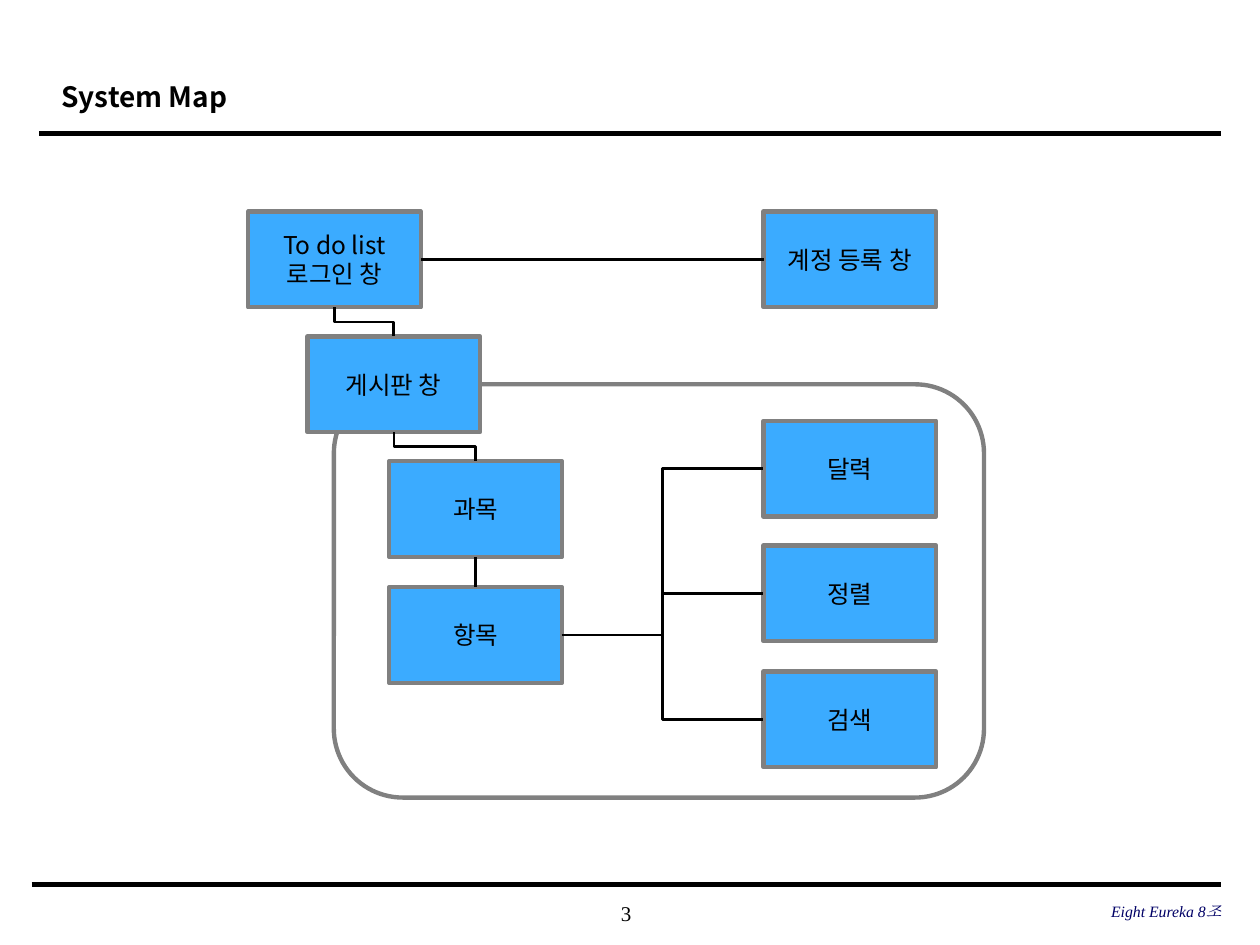
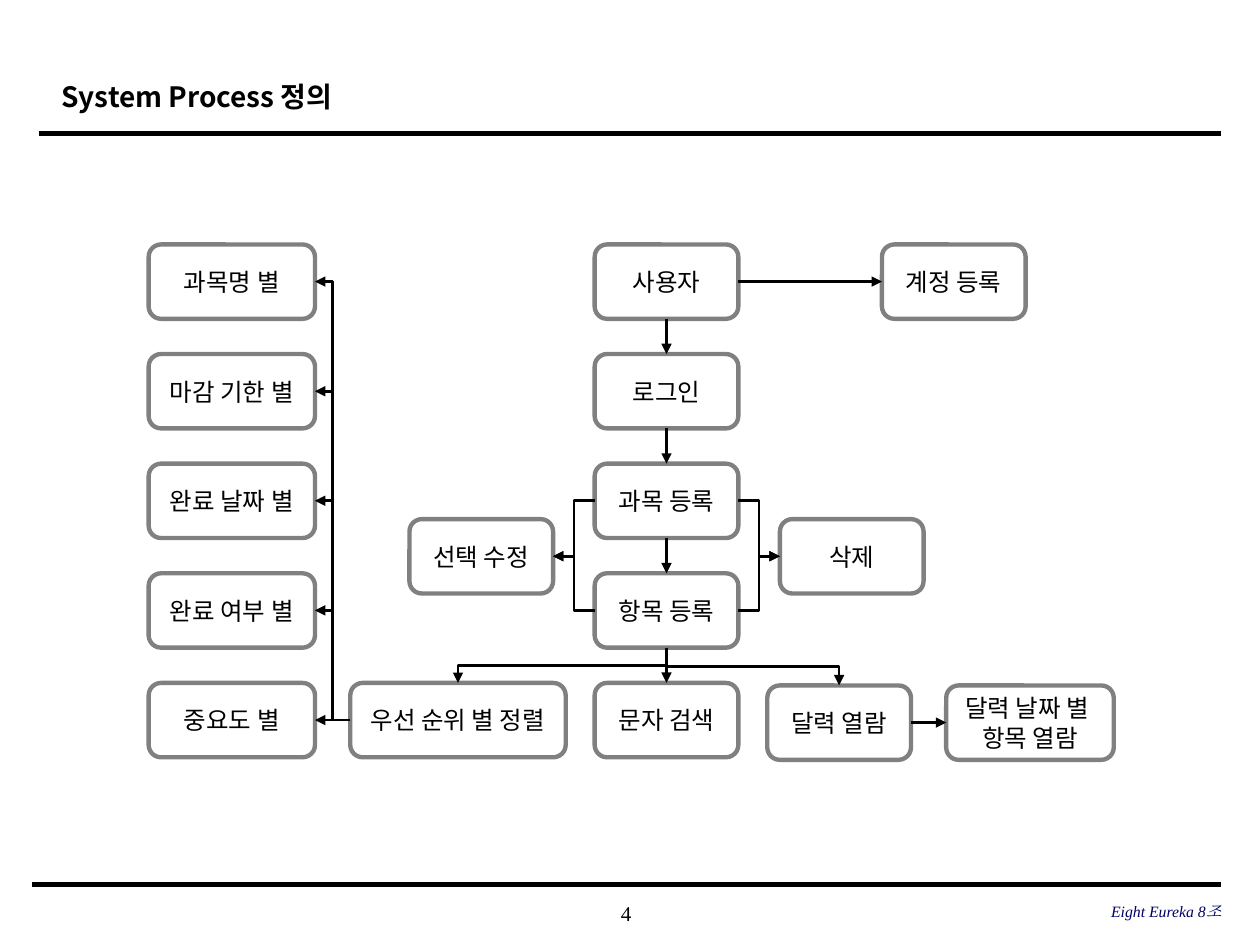
"""Build the system map and system process slides."""
import dataclasses
import enum
import typing

import lxml.etree
import pptx
import pptx.dml.color
import pptx.enum.shapes
import pptx.enum.text
import pptx.oxml.ns
import pptx.util

Inches = pptx.util.Inches
Pt = pptx.util.Pt
Align = pptx.enum.text.PP_ALIGN
Preset = pptx.enum.shapes.MSO_SHAPE
ConnectorKind = pptx.enum.shapes.MSO_CONNECTOR
qn = pptx.oxml.ns.qn


class Side(enum.IntEnum):
    TOP = 0
    LEFT = 1
    BOTTOM = 2
    RIGHT = 3


@dataclasses.dataclass(frozen=True)
class TextStyle:
    size: float
    face: str
    color: str
    align: Align
    bold: bool = False
    italic: bool = False
    spacing: float = 1.0


@dataclasses.dataclass(frozen=True)
class Theme:
    black: str = "000000"
    border: str = "808080"
    screen_fill: str = "3BABFF"
    border_width: float = 2.5
    link_width: float = 1.5
    title: TextStyle = TextStyle(16, "Noto Sans CJK KR", "000000", Align.LEFT, bold=True, spacing=1.2)
    label: TextStyle = TextStyle(14, "Noto Sans CJK KR", "000000", Align.CENTER)
    number: TextStyle = TextStyle(12, "Times New Roman", "000000", Align.CENTER)
    team: TextStyle = TextStyle(9, "Times New Roman", "000066", Align.RIGHT, italic=True)


class Box(typing.NamedTuple):
    key: str
    label: str
    left: float
    top: float
    width: float


class Link(typing.NamedTuple):
    start: str
    start_side: Side
    end: str
    end_side: Side
    elbow: bool = False


class Rule(typing.NamedTuple):
    left: float
    right: float
    y: float
    weight: float


@dataclasses.dataclass(frozen=True)
class Diagram:
    title: str
    number: int
    preset: Preset
    height: float
    fill: str | None
    arrows: bool
    boxes: list[Box]
    links: list[Link]
    frame: tuple[float, float, float, float] | None = None


THEME = Theme()
RULES = [Rule(0.31, 9.69, 1.06, 2.5), Rule(0.25, 9.69, 7.02, 3)]
TEAM = "Eight Eureka 8조"

SCREEN_WIDTH = 1.37
SYSTEM_MAP = Diagram(
    "System Map", 3, Preset.RECTANGLE, 0.76, THEME.screen_fill, False,
    [
        Box("login", "To do list\n로그인 창", 1.97, 1.68, SCREEN_WIDTH),
        Box("account", "계정 등록 창", 6.06, 1.68, SCREEN_WIDTH),
        Box("board", "게시판 창", 2.44, 2.67, SCREEN_WIDTH),
        Box("subject", "과목", 3.09, 3.66, SCREEN_WIDTH),
        Box("item", "항목", 3.09, 4.66, SCREEN_WIDTH),
        Box("calendar", "달력", 6.06, 3.34, SCREEN_WIDTH),
        Box("sort", "정렬", 6.06, 4.33, SCREEN_WIDTH),
        Box("search", "검색", 6.06, 5.33, SCREEN_WIDTH),
    ],
    [
        Link("login", Side.RIGHT, "account", Side.LEFT),
        Link("login", Side.BOTTOM, "board", Side.TOP, True),
        Link("board", Side.BOTTOM, "subject", Side.TOP, True),
        Link("subject", Side.BOTTOM, "item", Side.TOP),
        *(Link("item", Side.RIGHT, tool, Side.LEFT, True) for tool in ("calendar", "sort", "search")),
    ],
    frame=(2.65, 3.05, 5.16, 3.28),
)

STEP_WIDTH = 1.14
FIRST_ROW, ROW_PITCH = 1.94, 0.87
STEPS = {"user": "사용자", "login": "로그인", "subject": "과목 등록", "item": "항목 등록", "search": "문자 검색"}
ORDERS = {"by_subject": "과목명 별", "by_deadline": "마감 기한 별", "by_date": "완료 날짜 별",
          "by_status": "완료 여부 별", "by_priority": "중요도 별"}


def column(labels: dict[str, str], left: float, width: float) -> list[Box]:
    """Stack one box per label at the row pitch."""
    return [Box(key, label, left, FIRST_ROW + row * ROW_PITCH, width)
            for row, (key, label) in enumerate(labels.items())]


SYSTEM_PROCESS = Diagram(
    "System Process 정의", 4, Preset.ROUNDED_RECTANGLE, 0.59, None, True,
    [
        *column(STEPS, 4.72, STEP_WIDTH),
        *column(ORDERS, 1.18, 1.32),
        Box("account", "계정 등록", 7, FIRST_ROW, STEP_WIDTH),
        Box("edit", "선택 수정", 3.25, 4.12, STEP_WIDTH),
        Box("delete", "삭제", 6.19, 4.12, STEP_WIDTH),
        Box("sort", "우선 순위 별 정렬", 2.78, 5.42, 1.71),
        Box("calendar", "달력 열람", 6.09, 5.44, STEP_WIDTH),
        Box("day_items", "달력 날짜 별 \n항목 열람", 7.51, 5.44, 1.33),
    ],
    [
        *(Link(upper, Side.BOTTOM, lower, Side.TOP) for upper, lower in zip(STEPS, list(STEPS)[1:])),
        *(Link("sort", Side.LEFT, order, Side.RIGHT, order != "by_priority") for order in ORDERS),
        Link("user", Side.RIGHT, "account", Side.LEFT),
        Link("calendar", Side.RIGHT, "day_items", Side.LEFT),
        *(Link(step, Side.LEFT, "edit", Side.RIGHT, True) for step in ("subject", "item")),
        *(Link(step, Side.RIGHT, "delete", Side.LEFT, True) for step in ("subject", "item")),
        *(Link("item", Side.BOTTOM, view, Side.TOP, True) for view in ("sort", "calendar")),
    ],
)


def rgb(color: str) -> pptx.dml.color.RGBColor:
    """Turn a hex string into a colour."""
    return pptx.dml.color.RGBColor.from_string(color)


def write(frame, text: str, style: TextStyle, **frame_format) -> None:
    """Fill a text frame with one styled paragraph per line."""
    frame_format = {"vertical_anchor": pptx.enum.text.MSO_ANCHOR.MIDDLE, **frame_format}
    for name, value in frame_format.items():
        setattr(frame, name, value)
    for index, line in enumerate(text.split("\n")):
        paragraph = frame.add_paragraph() if index else frame.paragraphs[0]
        paragraph.alignment = style.align
        paragraph.line_spacing = style.spacing
        run = paragraph.add_run()
        run.text = line
        font_format = {"size": Pt(style.size), "name": style.face, "bold": style.bold, "italic": style.italic}
        for name, value in font_format.items():
            setattr(run.font, name, value)
        run.font.color.rgb = rgb(style.color)
        east_asian = lxml.etree.SubElement(run.font._element, qn("a:ea"))
        east_asian.set("typeface", style.face)


def add_text(slide, place: tuple[float, ...], text: str, style: TextStyle, **frame_format) -> None:
    """Place a text box."""
    area = slide.shapes.add_textbox(*map(Inches, place))
    write(area.text_frame, text, style, word_wrap=True, **frame_format)


def add_outline(slide, preset: Preset, place: tuple[float, ...], fill: str | None):
    """Place a bordered preset shape."""
    outline = slide.shapes.add_shape(preset, *map(Inches, place))
    outline.shadow.inherit = False
    if fill:
        outline.fill.solid()
        outline.fill.fore_color.rgb = rgb(fill)
    else:
        outline.fill.background()
    outline.line.color.rgb = rgb(THEME.border)
    outline.line.width = Pt(THEME.border_width)
    return outline


def style_line(connector, weight: float, arrow: bool = False) -> None:
    """Give a connector its colour, weight, arrowhead and no shadow."""
    connector.line.color.rgb = rgb(THEME.black)
    connector.line.width = Pt(weight)
    properties = connector._element.spPr
    if arrow:
        lxml.etree.SubElement(properties.find(qn("a:ln")), qn("a:tailEnd")).set("type", "triangle")
    lxml.etree.SubElement(properties, qn("a:effectLst"))


def turn_elbow(connector) -> None:
    """Turn an elbow so that it leaves and arrives vertically."""
    across = connector.end_x - connector.begin_x
    down = connector.end_y - connector.begin_y
    middle_x = (connector.begin_x + connector.end_x) // 2
    middle_y = (connector.begin_y + connector.end_y) // 2
    geometry = {"left": middle_x - down // 2, "top": middle_y - abs(across) // 2,
                "width": down, "height": abs(across)}
    for name, value in geometry.items():
        setattr(connector, name, value)
    turn = {"rot": "16200000", "flipH": "1"} if across > 0 else {"rot": "5400000", "flipH": "0"}
    transform = connector._element.spPr.find(qn("a:xfrm"))
    for name, value in {**turn, "flipV": "0"}.items():
        transform.set(name, value)


def add_link(slide, link: Link, placed: dict, arrow: bool) -> None:
    """Join two boxes with a straight or elbow connector."""
    kind = ConnectorKind.ELBOW if link.elbow else ConnectorKind.STRAIGHT
    connector = slide.shapes.add_connector(kind, 0, 0, 0, 0)
    connector.begin_connect(placed[link.start], int(link.start_side))
    connector.end_connect(placed[link.end], int(link.end_side))
    if link.elbow and link.start_side == Side.BOTTOM:
        turn_elbow(connector)
    style_line(connector, THEME.link_width, arrow)


def add_page(slide, title: str, number: int) -> None:
    """Draw the title, rules and footer shared by all slides."""
    for rule in RULES:
        ends = map(Inches, (rule.left, rule.y, rule.right, rule.y))
        style_line(slide.shapes.add_connector(ConnectorKind.STRAIGHT, *ends), rule.weight)
    flush = dict.fromkeys(("margin_left", "margin_top", "margin_right", "margin_bottom"), 0)
    add_text(slide, (0.39, 0.49, 7.55, 0.5), title, THEME.title)
    add_text(slide, (3.93, 7.08, 2.08, 0.33), str(number), THEME.number, **flush)
    add_text(slide, (6.63, 7.07, 3.06, 0.33), TEAM, THEME.team, **flush)


def add_diagram(slide, diagram: Diagram) -> None:
    """Draw the frame, boxes and links of a diagram."""
    if diagram.frame:
        add_outline(slide, Preset.ROUNDED_RECTANGLE, diagram.frame, None)
    placed = {}
    for box in diagram.boxes:
        place = (box.left, box.top, box.width, diagram.height)
        placed[box.key] = add_outline(slide, diagram.preset, place, diagram.fill)
        write(placed[box.key].text_frame, box.label, THEME.label, word_wrap=False)
    for link in diagram.links:
        add_link(slide, link, placed, diagram.arrows)


def main() -> None:
    """Build and save the presentation."""
    deck = pptx.Presentation()
    deck.slide_width, deck.slide_height = Inches(10), Inches(7.5)
    for diagram in (SYSTEM_MAP, SYSTEM_PROCESS):
        slide = deck.slides.add_slide(deck.slide_layouts[6])
        add_page(slide, diagram.title, diagram.number)
        add_diagram(slide, diagram)
    deck.save("out.pptx")


if __name__ == "__main__":
    main()
